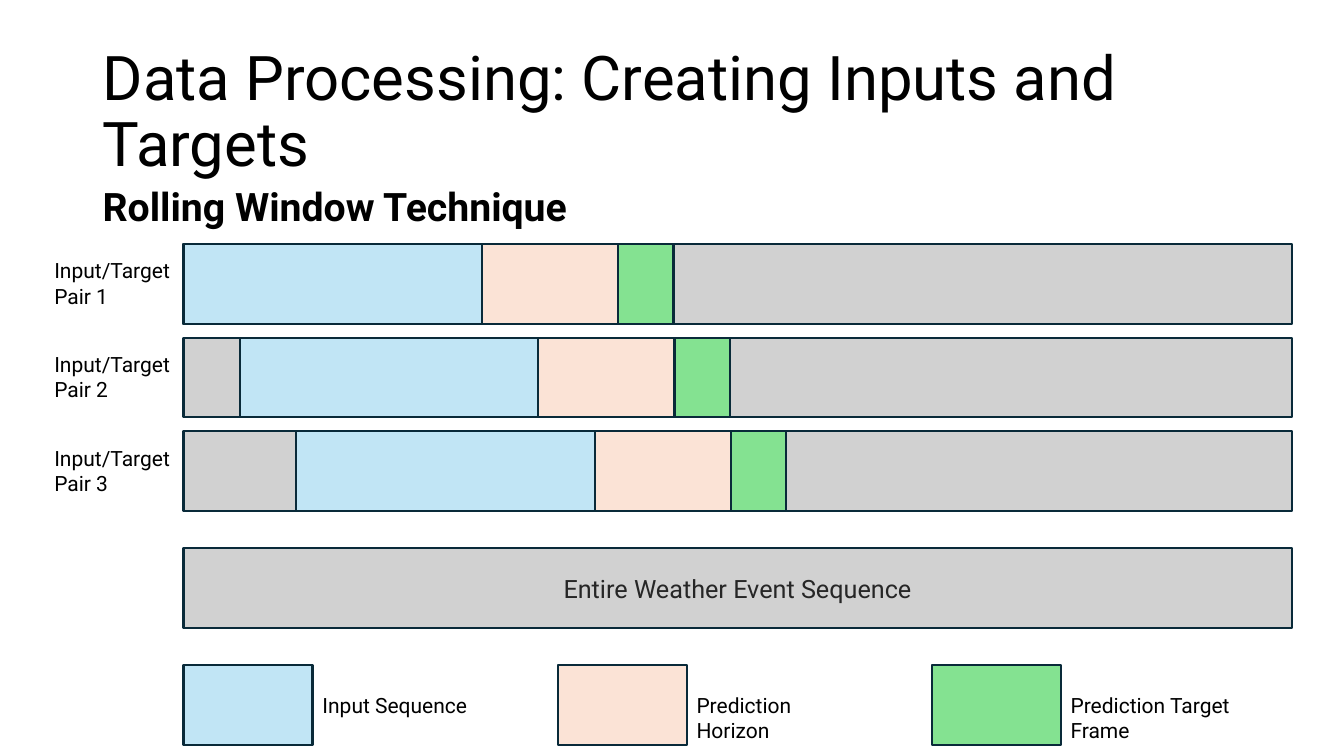
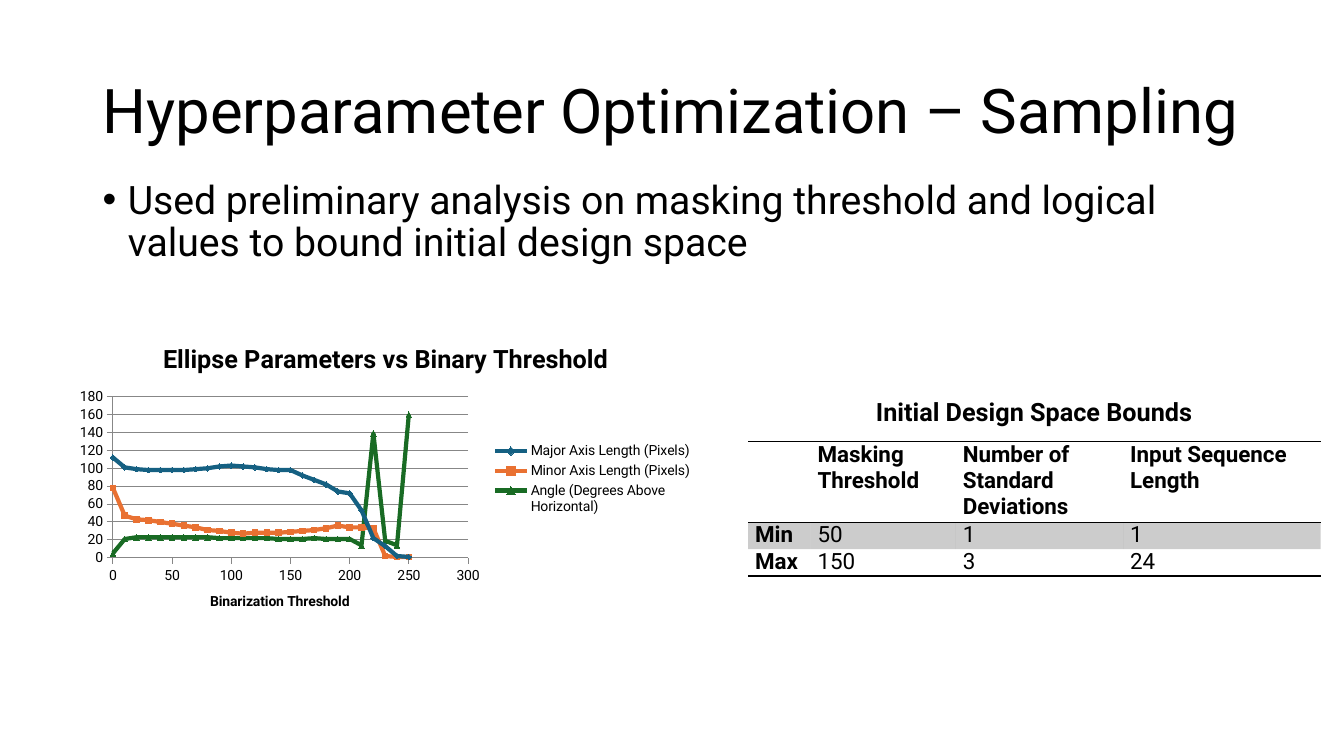
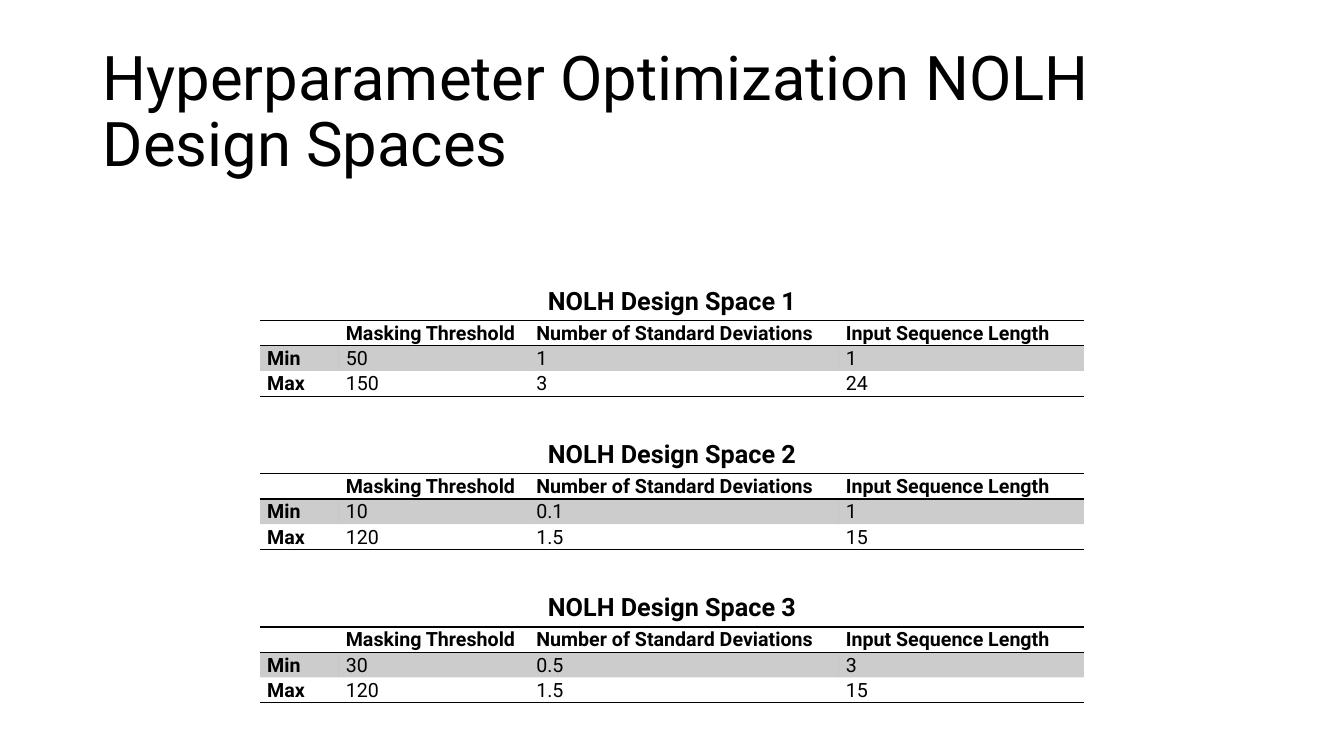
from lxml import etree
from pptx import Presentation
from pptx.chart.data import XyChartData
from pptx.dml.color import RGBColor
from pptx.enum.chart import XL_CHART_TYPE, XL_LEGEND_POSITION, XL_MARKER_STYLE, XL_TICK_MARK
from pptx.enum.shapes import MSO_SHAPE
from pptx.enum.text import MSO_ANCHOR, PP_ALIGN
from pptx.oxml.ns import qn
from pptx.util import Pt

PX = 9144  # 100 px to the inch
FONT = "Roboto"
BLANK_LAYOUT = 6
NO_STYLE_TABLE = "{2D5ABB26-0587-4C30-8999-92F81FD0307C}"

BLACK = RGBColor(0x00, 0x00, 0x00)
DARK_GRAY = RGBColor(0x26, 0x26, 0x26)
AXIS_GRAY = RGBColor(0x87, 0x87, 0x87)
SEQUENCE_GRAY = RGBColor(0xD1, 0xD1, 0xD1)
OUTLINE = RGBColor(0x09, 0x2A, 0x39)
INPUT_BLUE = RGBColor(0xC1, 0xE5, 0xF5)
HORIZON_PEACH = RGBColor(0xFB, 0xE3, 0xD6)
TARGET_GREEN = RGBColor(0x84, 0xE2, 0x91)
MAJOR_BLUE = RGBColor(0x15, 0x60, 0x82)
MINOR_ORANGE = RGBColor(0xE9, 0x71, 0x32)
ANGLE_GREEN = RGBColor(0x19, 0x6B, 0x24)

RECTANGLE = MSO_SHAPE.RECTANGLE
TOP, MIDDLE = MSO_ANCHOR.TOP, MSO_ANCHOR.MIDDLE
LEFT, CENTER = PP_ALIGN.LEFT, PP_ALIGN.CENTER
SCATTER_LINES = XL_CHART_TYPE.XY_SCATTER_LINES
LEGEND_RIGHT = XL_LEGEND_POSITION.RIGHT
TICK_OUTSIDE = XL_TICK_MARK.OUTSIDE
DIAMOND, SQUARE, TRIANGLE = (
    XL_MARKER_STYLE.DIAMOND, XL_MARKER_STYLE.SQUARE, XL_MARKER_STYLE.TRIANGLE)

# Rolling window geometry
SEQUENCE_LEFT, SEQUENCE_WIDTH, BAR_HEIGHT = 182, 1099, 79
WINDOW_PARTS = [(296, INPUT_BLUE), (135, HORIZON_PEACH), (55, TARGET_GREEN)]
WINDOW_SHIFT = 56
PAIR_TOP, PAIR_STEP = 242, 93
LEGEND_STEP, SWATCH_WIDTH = 371, 128
LEGEND = [("Input Sequence", 166, INPUT_BLUE),
          ("Prediction Horizon", 188, HORIZON_PEACH),
          ("Prediction Target Frame", 236, TARGET_GREEN)]

# Chart data, one value for every tenth threshold
ELLIPSE_SERIES = [
    ("Major Axis Length (Pixels)", MAJOR_BLUE, DIAMOND,
     [112, 101, 99, 98, 98, 98, 98, 99, 100, 102, 103, 102, 101,
      99, 98, 98, 92, 87, 82, 74, 72, 53, 22, 13, 2, 1]),
    ("Minor Axis Length (Pixels)", MINOR_ORANGE, SQUARE,
     [78, 47, 43, 42, 40, 38, 36, 34, 31, 30, 28, 27, 28,
      28, 28, 29, 30, 31, 33, 36, 34, 34, 33, 2, 1, 1]),
    ("Angle (Degrees Above Horizontal)", ANGLE_GREEN, TRIANGLE,
     [5, 21, 23, 23, 23, 23, 23, 23, 23, 22, 22, 22, 22,
      22, 21, 21, 21, 22, 21, 21, 21, 14, 139, 19, 14, 160]),
]

# Design space tables
BOUNDS_HEADER = ["", "Masking Threshold", "Number of Standard Deviations",
                 "Input Sequence Length"]
DESIGN_SPACES = [
    (["50", "1", "1"], ["150", "3", "24"]),
    (["10", "0.1", "1"], ["120", "1.5", "15"]),
    (["30", "0.5", "3"], ["120", "1.5", "15"]),
]


def px(*lengths):
    return [length * PX for length in lengths]


def style_font(font, size, color=BLACK, bold=False):
    font.name, font.size, font.bold = FONT, Pt(size), bold
    font.color.rgb = color


def write(para, text, size, color=BLACK, bold=False):
    span = para.add_run()
    span.text = text
    style_font(span.font, size, color, bold)


def add_text(page, area, text, size, bold=False, align=LEFT, anchor=TOP):
    frame = page.shapes.add_textbox(*px(*area)).text_frame
    frame.word_wrap = True
    frame.vertical_anchor = anchor
    para = frame.paragraphs[0]
    para.alignment = align
    write(para, text, size, bold=bold)
    return para


def add_page(deck, title):
    page = deck.slides.add_slide(deck.slide_layouts[BLANK_LAYOUT])
    para = add_text(page, (92, 40, 1150, 145), title, 44, anchor=MIDDLE)
    para.line_spacing = 0.9
    return page


def add_body(page, area, text, bold=False, bullet=False):
    para = add_text(page, area, text, 28, bold)
    para.line_spacing = 0.9
    para.space_before = Pt(10)
    if bullet:
        props = para._p.get_or_add_pPr()
        props.set("marL", str(25 * PX))
        props.set("indent", str(-25 * PX))
        etree.SubElement(props, qn("a:buFont"), typeface="Arial")
        etree.SubElement(props, qn("a:buChar"), char="•")


def add_bar(page, left, top, width, color):
    bar = page.shapes.add_shape(RECTANGLE, *px(left, top, width, BAR_HEIGHT))
    bar.shadow.inherit = False
    bar.fill.solid()
    bar.fill.fore_color.rgb = color
    bar.line.color.rgb = OUTLINE
    bar.line.width = Pt(1.5)
    return bar


def add_pair(page, index):
    top = PAIR_TOP + index * PAIR_STEP
    add_bar(page, SEQUENCE_LEFT, top, SEQUENCE_WIDTH, SEQUENCE_GRAY)
    left = SEQUENCE_LEFT + index * WINDOW_SHIFT
    for width, color in WINDOW_PARTS:
        add_bar(page, left, top, width, color)
        left += width
    add_text(page, (44, top + 9, 138, 61), f"Input/Target Pair {index + 1}", 15)


def set_border(cell, sides):
    props = cell._tc.get_or_add_tcPr()
    for position, side in enumerate(sides):
        line = etree.Element(qn(f"a:{side}"), w=str(Pt(1)))
        fill = etree.SubElement(line, qn("a:solidFill"))
        etree.SubElement(fill, qn("a:srgbClr"), val=str(BLACK))
        props.insert(position, line)


def fill_cell(cell, shaded):
    if not shaded:
        cell.fill.background()
        return
    cell.fill.solid()
    cell.fill.fore_color.rgb = BLACK
    color = cell._tc.tcPr.find(".//" + qn("a:srgbClr"))
    etree.SubElement(color, qn("a:alpha"), val="20000")


def add_bounds_table(page, left, top, widths, heights, size, bounds, spacing=None):
    lower, upper = bounds
    rows = [BOUNDS_HEADER, ["Min", *lower], ["Max", *upper]]
    area = px(left, top, sum(widths), sum(heights))
    frame = page.shapes.add_table(len(rows), len(widths), *area)
    table = frame.table
    table._tbl.tblPr.find(qn("a:tableStyleId")).text = NO_STYLE_TABLE
    for column, width in zip(table.columns, widths):
        column.width = width * PX
    borders = [("lnT", "lnB"), (), ("lnB",)]
    for r, texts in enumerate(rows):
        table.rows[r].height = heights[r] * PX
        for c, text in enumerate(texts):
            cell = table.cell(r, c)
            cell.margin_left = cell.margin_right = 7 * PX
            cell.margin_top = cell.margin_bottom = 0
            para = cell.text_frame.paragraphs[0]
            para.space_after = Pt(8)
            if spacing:
                para.line_spacing = spacing
            if text:
                write(para, text, size, bold=r == 0 or c == 0)
            else:
                # Keeps the empty corner from stretching its row
                etree.SubElement(para._p, qn("a:endParaRPr"), sz=str(size * 100))
            fill_cell(cell, shaded=r == 1)
            set_border(cell, borders[r])


def style_axis(axis, maximum, step):
    axis.minimum_scale, axis.maximum_scale, axis.major_unit = 0, maximum, step
    axis.major_tick_mark = TICK_OUTSIDE
    axis.format.line.color.rgb = AXIS_GRAY
    style_font(axis.tick_labels.font, 10)


def place_plot(chart, x, y, w, h):
    plot_area = chart._chartSpace.chart.plotArea
    for old in plot_area.findall(qn("c:layout")):
        plot_area.remove(old)
    layout = etree.Element(qn("c:layout"))
    manual = etree.SubElement(layout, qn("c:manualLayout"))
    settings = [("layoutTarget", "inner"), ("xMode", "edge"), ("yMode", "edge"),
                ("x", x), ("y", y), ("w", w), ("h", h)]
    for name, value in settings:
        etree.SubElement(manual, qn(f"c:{name}"), val=str(value))
    plot_area.insert(0, layout)


def add_ellipse_chart(page):
    data = XyChartData()
    for name, _, _, values in ELLIPSE_SERIES:
        points = data.add_series(name)
        for index, value in enumerate(values):
            points.add_data_point(index * 10, value)
    chart = page.shapes.add_chart(SCATTER_LINES, *px(68, 324, 629, 302), data).chart
    style_font(chart.font, 10)

    # Titles and legend
    chart.has_title = True
    write(chart.chart_title.text_frame.paragraphs[0],
          "Ellipse Parameters vs Binary Threshold", 18, bold=True)
    chart.has_legend = True
    chart.legend.position = LEGEND_RIGHT
    chart.legend.include_in_layout = False
    style_font(chart.legend.font, 10)

    # Axes
    x_axis, y_axis = chart.category_axis, chart.value_axis
    style_axis(x_axis, 300, 50)
    style_axis(y_axis, 180, 20)
    x_axis.has_major_gridlines = False
    y_axis.has_major_gridlines = True
    y_axis.major_gridlines.format.line.color.rgb = AXIS_GRAY
    write(x_axis.axis_title.text_frame.paragraphs[0],
          "Binarization Threshold", 10, bold=True)
    place_plot(chart, 0.07, 0.23, 0.56, 0.53)

    # Series
    plot = chart.plots[0]
    plot.vary_by_categories = False
    for series, (_, color, marker, _) in zip(plot.series, ELLIPSE_SERIES):
        series.format.line.color.rgb = color
        series.format.line.width = Pt(3)
        series.marker.style = marker
        series.marker.size = 4
        series.marker.format.fill.solid()
        series.marker.format.fill.fore_color.rgb = color
        series.marker.format.line.color.rgb = color


def build_rolling_window(deck):
    page = add_page(deck, "Data Processing: Creating Inputs and Targets")
    for index in range(3):
        add_pair(page, index)
    sequence = add_bar(page, SEQUENCE_LEFT, 544, SEQUENCE_WIDTH, SEQUENCE_GRAY)
    sequence.text_frame.vertical_anchor = MIDDLE
    para = sequence.text_frame.paragraphs[0]
    para.alignment = CENTER
    write(para, "Entire Weather Event Sequence", 18, DARK_GRAY)
    for index, (label, width, color) in enumerate(LEGEND):
        left = SEQUENCE_LEFT + index * LEGEND_STEP
        add_bar(page, left, 660, SWATCH_WIDTH, color)
        add_text(page, (left + SWATCH_WIDTH, 682, width, 35), label, 15)
    add_body(page, (92, 181, 821, 53), "Rolling Window Technique", bold=True)


def build_sampling(deck):
    page = add_page(deck, "Hyperparameter Optimization – Sampling")
    add_body(page, (92, 174, 1174, 168),
             "Used preliminary analysis on masking threshold and logical "
             "values to bound initial design space", bullet=True)
    add_ellipse_chart(page)
    add_bounds_table(page, 742, 438, [62, 144, 166, 196], [79, 26, 26], 16,
                     DESIGN_SPACES[0])
    add_text(page, (859, 388, 353, 40), "Initial Design Space Bounds", 18, bold=True)


def build_design_spaces(deck):
    page = add_page(deck, "Hyperparameter Optimization NOLH Design Spaces")
    for index, bounds in enumerate(DESIGN_SPACES):
        top = 278 + index * 152
        add_text(page, (342, top, 649, 40), f"NOLH Design Space {index + 1}", 18,
                 bold=True, align=CENTER)
        add_bounds_table(page, 258, top + 40, [78, 189, 307, 243], [24] * 3, 14,
                         bounds, spacing=1.07)


def main():
    deck = Presentation()
    deck.slide_width, deck.slide_height = px(1333, 750)
    build_rolling_window(deck)
    build_sampling(deck)
    build_design_spaces(deck)
    deck.save("out.pptx")


if __name__ == "__main__":
    main()
